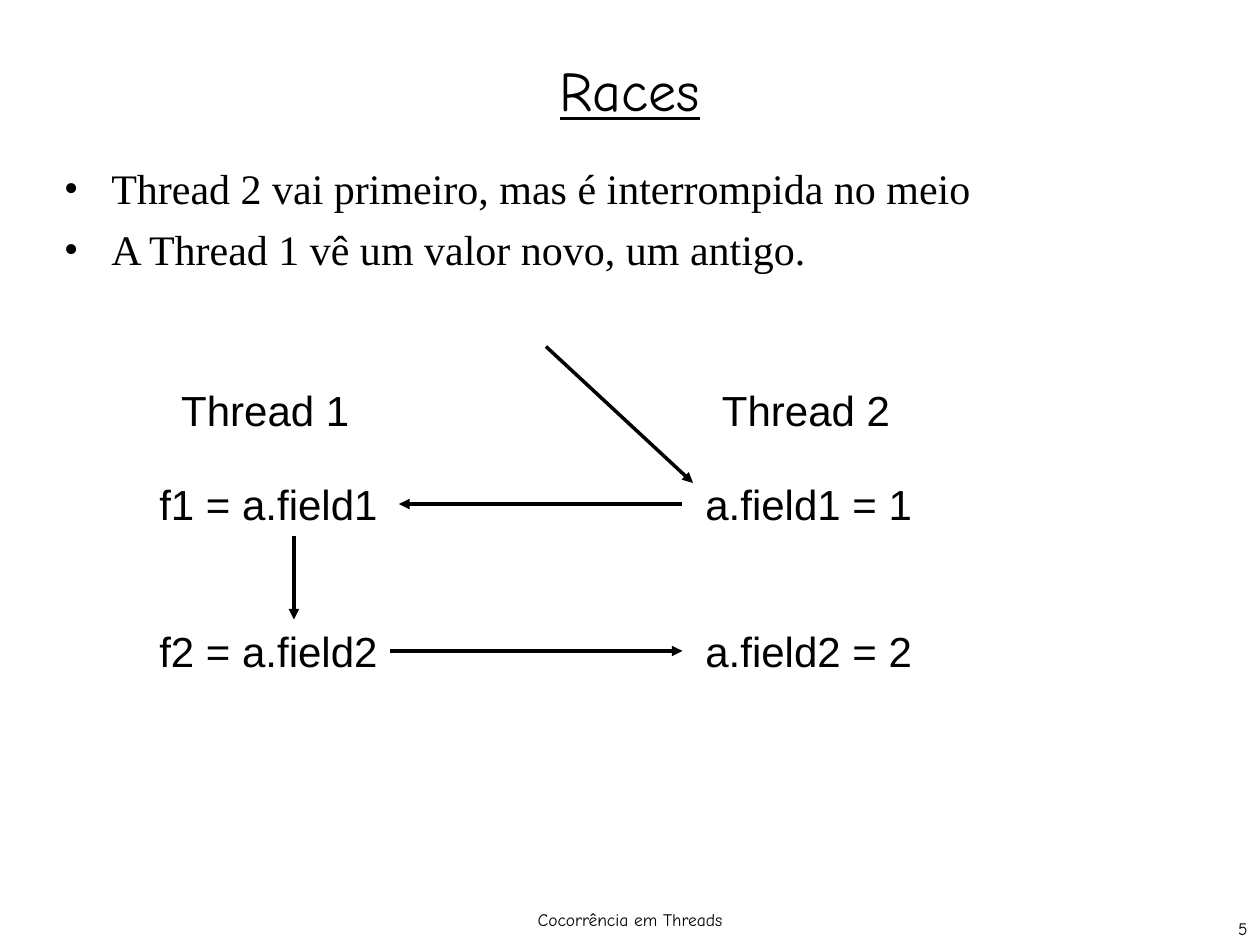
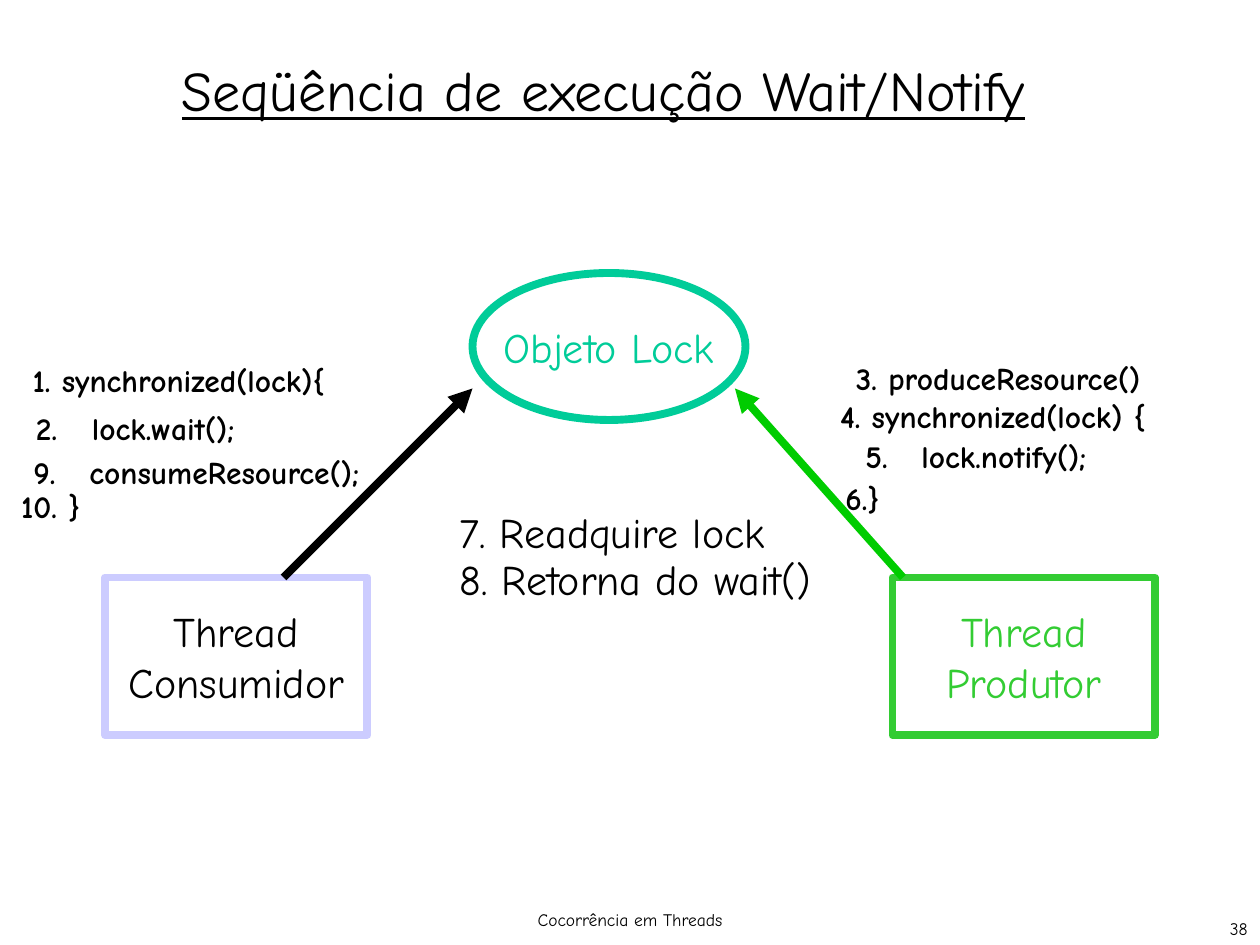
from collections import namedtuple

import pptx
import pptx.dml.color
import pptx.enum.shapes
import pptx.enum.text
import pptx.oxml.ns
import pptx.util
from lxml import etree

Pt = pptx.util.Pt
RGB = pptx.dml.color.RGBColor
ALIGN = pptx.enum.text.PP_ALIGN
ANCHOR = pptx.enum.text.MSO_ANCHOR
SHAPE = pptx.enum.shapes.MSO_SHAPE
qn = pptx.oxml.ns.qn

BLACK = RGB(0x00, 0x00, 0x00)
WHITE = RGB(0xFF, 0xFF, 0xFF)
LOCK_TEAL = RGB(0x00, 0xCC, 0x99)
CONSUMER_LILAC = RGB(0xCC, 0xCC, 0xFF)
PRODUCER_GREEN = RGB(0x33, 0xCC, 0x33)
NOTIFY_GREEN = RGB(0x00, 0xCC, 0x00)

COMIC, SANS, SERIF = "Comic Neue", "Arial", "Times New Roman"
SLIDE_WIDTH, SLIDE_HEIGHT = 720, 540
CODE_INDENT = 32

Box = namedtuple("Box", "x y w h")


def write(frame, text, size=24, font=COMIC, color=BLACK, bold=False,
          underline=False, align=ALIGN.LEFT, anchor=ANCHOR.TOP, wrap=False,
          hanging=0, bullet=None, space_before=0):
    """Fill a text frame, one paragraph for each line of text."""
    frame.word_wrap = wrap
    frame.vertical_anchor = anchor
    frame.margin_left = frame.margin_right = Pt(7.2)
    frame.margin_top = frame.margin_bottom = Pt(3.6)
    for number, line in enumerate(text.split("\n")):
        paragraph = frame.add_paragraph() if number else frame.paragraphs[0]
        paragraph.alignment = align
        paragraph.space_before = Pt(space_before)
        if hanging:
            properties = paragraph._p.get_or_add_pPr()
            properties.set("marL", str(Pt(hanging)))
            properties.set("indent", str(-Pt(hanging)))
            if bullet:
                etree.SubElement(properties, qn("a:buFont")).set("typeface", font)
                etree.SubElement(properties, qn("a:buChar")).set("char", bullet)
        run = paragraph.add_run()
        run.text = line
        run.font.size, run.font.name = Pt(size), font
        run.font.bold, run.font.underline = bold, underline
        run.font.color.rgb = color


def add_text(slide, box, text, **text_format):
    label = slide.shapes.add_textbox(*map(Pt, box))
    write(label.text_frame, text, **text_format)
    return label


def add_outlined(slide, preset, box, text, outline, color):
    actor = slide.shapes.add_shape(preset, *map(Pt, box))
    actor.shadow.inherit = False
    actor.fill.background()
    actor.line.color.rgb = outline
    actor.line.width = Pt(4.5)
    write(actor.text_frame, text, color=color, align=ALIGN.CENTER,
          anchor=ANCHOR.MIDDLE)


def add_arrow(slide, start, end, color=BLACK, width=2):
    arrow = slide.shapes.add_connector(
        pptx.enum.shapes.MSO_CONNECTOR.STRAIGHT, *map(Pt, (*start, *end)))
    arrow.line.color.rgb = color
    arrow.line.width = Pt(width)
    etree.SubElement(arrow.line._get_or_add_ln(), qn("a:tailEnd")).set(
        "type", "triangle")
    etree.SubElement(arrow._element.spPr, qn("a:effectLst"))
    return arrow


def add_base_slide(deck, title, title_box, number):
    """Add a blank slide with its title, footer and page number."""
    slide = deck.slides.add_slide(deck.slide_layouts[6])
    slide.background.fill.solid()
    slide.background.fill.fore_color.rgb = WHITE
    add_text(slide, title_box, title, size=32, underline=True, wrap=True,
             align=ALIGN.CENTER, anchor=ANCHOR.MIDDLE)
    add_text(slide, Box(246, 516, 228, 36), "Cocorrência em Threads",
             size=10, align=ALIGN.CENTER, wrap=True)
    add_text(slide, Box(570, 521, 150, 36), str(number),
             size=10, align=ALIGN.RIGHT, wrap=True)
    return slide


def add_race_diagram(slide, box):
    """Two threads side by side, with arrows in order of execution."""
    right, row_gap = 312, 84
    first_row = box.y + 54
    second_row = first_row + row_gap

    def statement(x, y, width, text):
        return add_text(slide, Box(box.x + x, y, width, 36), text, font=SANS)

    statement(12.5, box.y, 114, "Thread 1")
    statement(right + 9.5, box.y, 114, "Thread 2")
    read_field1 = statement(0, first_row, 144, "f1 = a.field1")
    read_field2 = statement(0, second_row, 139, "f2 = a.field2")
    statement(right, first_row, 135, "a.field1 = 1")
    statement(right, second_row, 135, "a.field2 = 2")

    before_right = box.x + right - 6
    middle1, middle2 = first_row + 18, second_row + 18
    add_arrow(slide, (box.x + 228, box.y - 18),
              (box.x + right, first_row + 6))
    interrupted = add_arrow(slide, (before_right, middle1),
                            (box.x + 144, middle1))
    interrupted.end_connect(read_field1, 3)
    add_arrow(slide, (box.x + 84, first_row + 36), (box.x + 84, second_row))
    resumed = add_arrow(slide, (box.x + 139, middle2),
                        (before_right, middle2))
    resumed.begin_connect(read_field2, 3)


def add_actors(slide, box):
    """The lock above the two threads that point to it."""
    thread_w, thread_h = 150, 90
    lock_w, lock_h = 156, 84
    thread_y = box.y + box.h - thread_h
    producer_x = box.x + box.w - thread_w
    lock_x = box.x + 210
    arrow_end = box.y + 66
    add_outlined(slide, SHAPE.OVAL, Box(lock_x, box.y, lock_w, lock_h),
                 "Objeto Lock", LOCK_TEAL, LOCK_TEAL)
    add_outlined(slide, SHAPE.RECTANGLE,
                 Box(box.x, thread_y, thread_w, thread_h),
                 "Thread\nConsumidor", CONSUMER_LILAC, BLACK)
    add_outlined(slide, SHAPE.RECTANGLE,
                 Box(producer_x, thread_y, thread_w, thread_h),
                 "Thread\nProdutor", PRODUCER_GREEN, PRODUCER_GREEN)
    add_arrow(slide, (box.x + 102, thread_y), (lock_x, arrow_end), width=4.5)
    add_arrow(slide, (producer_x + 6, thread_y),
              (lock_x + lock_w - 6, arrow_end), NOTIFY_GREEN, 4.5)


def add_code(slide, box, steps):
    """Numbered code lines; each step is (x, y, width, text) within the box."""
    for x, y, width, text in steps:
        add_text(slide, Box(box.x + x, box.y + y, width, 29), text, size=18,
                 bold=True, wrap=True,
                 hanging=CODE_INDENT if "\t" in text else 0)


def add_lock_steps(slide, box):
    for row, text in enumerate(["7. Readquire lock", "8. Retorna do wait()"]):
        add_text(slide, Box(box.x, box.y + row * 27, box.w, 36), text,
                 wrap=True)


def build_races(deck):
    slide = add_base_slide(deck, "Races", Box(0, 6, SLIDE_WIDTH, 90), 5)
    add_text(slide, Box(29.5, 89.5, 656.5, 114.5),
             "Thread 2 vai primeiro, mas é interrompida no meio\n"
             "A Thread 1 vê um valor novo, um antigo.",
             font=SERIF, wrap=True, hanging=27, bullet="•", space_before=6)
    add_race_diagram(slide, Box(84, 216, 447, 174))


def build_wait_notify(deck):
    slide = add_base_slide(deck, "Seqüência de execução Wait/Notify",
                           Box(60, 18, 570, 66), 38)
    add_actors(slide, Box(60, 156, 600, 264))
    add_code(slide, Box(5, 203, 217, 101), [
        (6.5, 0, 190, "1. synchronized(lock){"),
        (8.5, 27, 138, "2.\tlock.wait();"),
        (7, 52.5, 210, "9.\tconsumeResource();"),
        (0, 72, 58, "10. }"),
    ])
    add_code(slide, Box(473, 201.5, 247, 97.5), [
        (9, 0, 186, "3. produceResource()"),
        (0, 22, 247, "4. synchronized(lock) {"),
        (14.5, 44.5, 150, "5.\tlock.notify();"),
        (3, 68.5, 42, "6.}"),
    ])
    add_lock_steps(slide, Box(255.5, 286, 225, 63))


def main():
    deck = pptx.Presentation()
    deck.slide_width, deck.slide_height = Pt(SLIDE_WIDTH), Pt(SLIDE_HEIGHT)
    build_races(deck)
    build_wait_notify(deck)
    deck.save("out.pptx")


if __name__ == "__main__":
    main()
